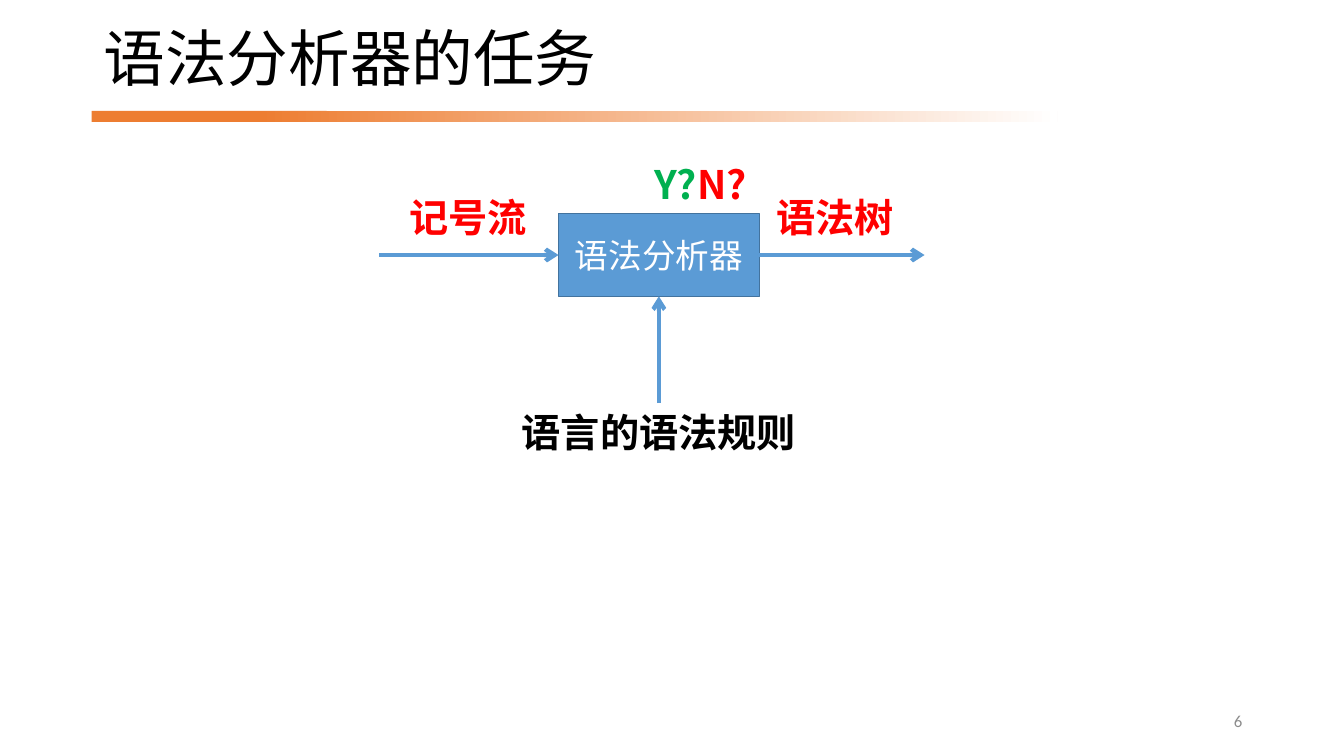
"""Build the slide on the task of a syntax analyser."""
import pptx
import pptx.util
import pptx.dml.color
import pptx.enum.shapes
import pptx.enum.text
import pptx.oxml
import pptx.oxml.ns
from pptx.util import Inches

ORANGE = pptx.dml.color.RGBColor(0xED, 0x7D, 0x31)
WHITE = pptx.dml.color.RGBColor(0xFF, 0xFF, 0xFF)
BLACK = pptx.dml.color.RGBColor(0x00, 0x00, 0x00)
GREY = pptx.dml.color.RGBColor(0x8C, 0x8C, 0x8C)
BLUE = pptx.dml.color.RGBColor(0x5B, 0x9B, 0xD5)
DARK_BLUE = pptx.dml.color.RGBColor(0x43, 0x73, 0x9E)
RED = pptx.dml.color.RGBColor(0xFF, 0x00, 0x00)
GREEN = pptx.dml.color.RGBColor(0x00, 0xB0, 0x50)
CJK_FONT = "Noto Sans CJK SC"
RECTANGLE = pptx.enum.shapes.MSO_SHAPE.RECTANGLE
ALIGN = pptx.enum.text.PP_ALIGN
ANCHOR = pptx.enum.text.MSO_ANCHOR


def write(shape, *runs, size=28, font=CJK_FONT, bold=False, align=ALIGN.CENTER,
          anchor=ANCHOR.TOP, wrap=True, spacing=1.0):
    """Fill a shape with one paragraph of (text, colour) runs."""
    frame = shape.text_frame
    frame.word_wrap = wrap
    frame.vertical_anchor = anchor
    paragraph = frame.paragraphs[0]
    paragraph.alignment = align
    paragraph.line_spacing = spacing
    for text, colour in runs:
        run = paragraph.add_run()
        run.text = text
        run.font.size = pptx.util.Pt(size)
        run.font.bold = bold
        run.font.name = font
        run.font.color.rgb = colour
        east_asian = pptx.oxml.parse_xml(
            f'<a:ea {pptx.oxml.ns.nsdecls("a")} typeface="{CJK_FONT}"/>')
        run.font._element.find(pptx.oxml.ns.qn("a:latin")).addnext(east_asian)


presentation = pptx.Presentation()
presentation.slide_width = Inches(13.33)
presentation.slide_height = Inches(7.5)
slide = presentation.slides.add_slide(presentation.slide_layouts[6])
shapes = slide.shapes

rule_start = shapes.add_shape(RECTANGLE, Inches(0.91), Inches(1.1), Inches(2.33), Inches(0.11))
rule_start.fill.solid()
rule_start.fill.fore_color.rgb = ORANGE
rule_fade = shapes.add_shape(RECTANGLE, Inches(2.57), Inches(1.1), Inches(7.92), Inches(0.11))
rule_fade.fill.gradient()
rule_fade.fill.gradient_angle = 0
for stop, position, colour in zip(rule_fade.fill.gradient_stops, (0, 1), (ORANGE, WHITE)):
    stop.position = position
    stop.color.rgb = colour
for rule in (rule_start, rule_fade):
    rule.shadow.inherit = False
    rule.line.fill.background()

title = shapes.add_textbox(Inches(0.93), Inches(0.17), Inches(11.14), Inches(0.89))
write(title, ("语法分析器的任务", BLACK), size=44, font="Arial", align=ALIGN.LEFT,
      anchor=ANCHOR.MIDDLE, spacing=0.9)
page_number = shapes.add_textbox(Inches(9.42), Inches(6.95), Inches(3), Inches(0.4))
write(page_number, ("6", GREY), size=12, font="Calibri", align=ALIGN.RIGHT, anchor=ANCHOR.MIDDLE)

analyser = shapes.add_shape(RECTANGLE, Inches(5.54), Inches(2.12), Inches(1.99), Inches(0.82))
analyser.shadow.inherit = False
analyser.fill.solid()
analyser.fill.fore_color.rgb = BLUE
analyser.line.color.rgb = DARK_BLUE
analyser.line.width = pptx.util.Pt(1)
write(analyser, ("语法分析器", WHITE), size=24, anchor=ANCHOR.MIDDLE)

for text, colour, left, top, width in (
    ("记号流", RED, 3.89, 1.87, 1.51),
    ("语法树", RED, 7.53, 1.87, 1.51),
    ("语言的语法规则", BLACK, 5.02, 4, 3.03),
):
    label = shapes.add_textbox(Inches(left), Inches(top), Inches(width), Inches(0.57))
    write(label, (text, colour), bold=True)
grammar_rules = label

verdict = shapes.add_textbox(Inches(6.37), Inches(1.54), Inches(1.16), Inches(0.57))
write(verdict, ("Y?", GREEN), ("N?", RED), bold=True, wrap=False)

token_flow, tree_flow, rules_flow = [
    shapes.add_connector(pptx.enum.shapes.MSO_CONNECTOR.STRAIGHT,
                         Inches(x1), Inches(y1), Inches(x2), Inches(y2))
    for x1, y1, x2, y2 in ((3.76, 2.53, 5.54, 2.53), (7.53, 2.53, 9.17, 2.53),
                           (6.53, 4, 6.53, 2.94))
]
token_flow.end_connect(analyser, 1)
tree_flow.begin_connect(analyser, 3)
rules_flow.begin_connect(grammar_rules, 0)
rules_flow.end_connect(analyser, 2)
for flow in (token_flow, tree_flow, rules_flow):
    flow.line.color.rgb = BLUE
    flow.line.width = pptx.util.Pt(3)
    properties = flow._element.spPr
    outline = properties.find(pptx.oxml.ns.qn("a:ln"))
    outline.append(pptx.oxml.parse_xml(
        f'<a:tailEnd {pptx.oxml.ns.nsdecls("a")} type="arrow"/>'))
    properties.append(pptx.oxml.parse_xml(f'<a:effectLst {pptx.oxml.ns.nsdecls("a")}/>'))

presentation.save("out.pptx")
